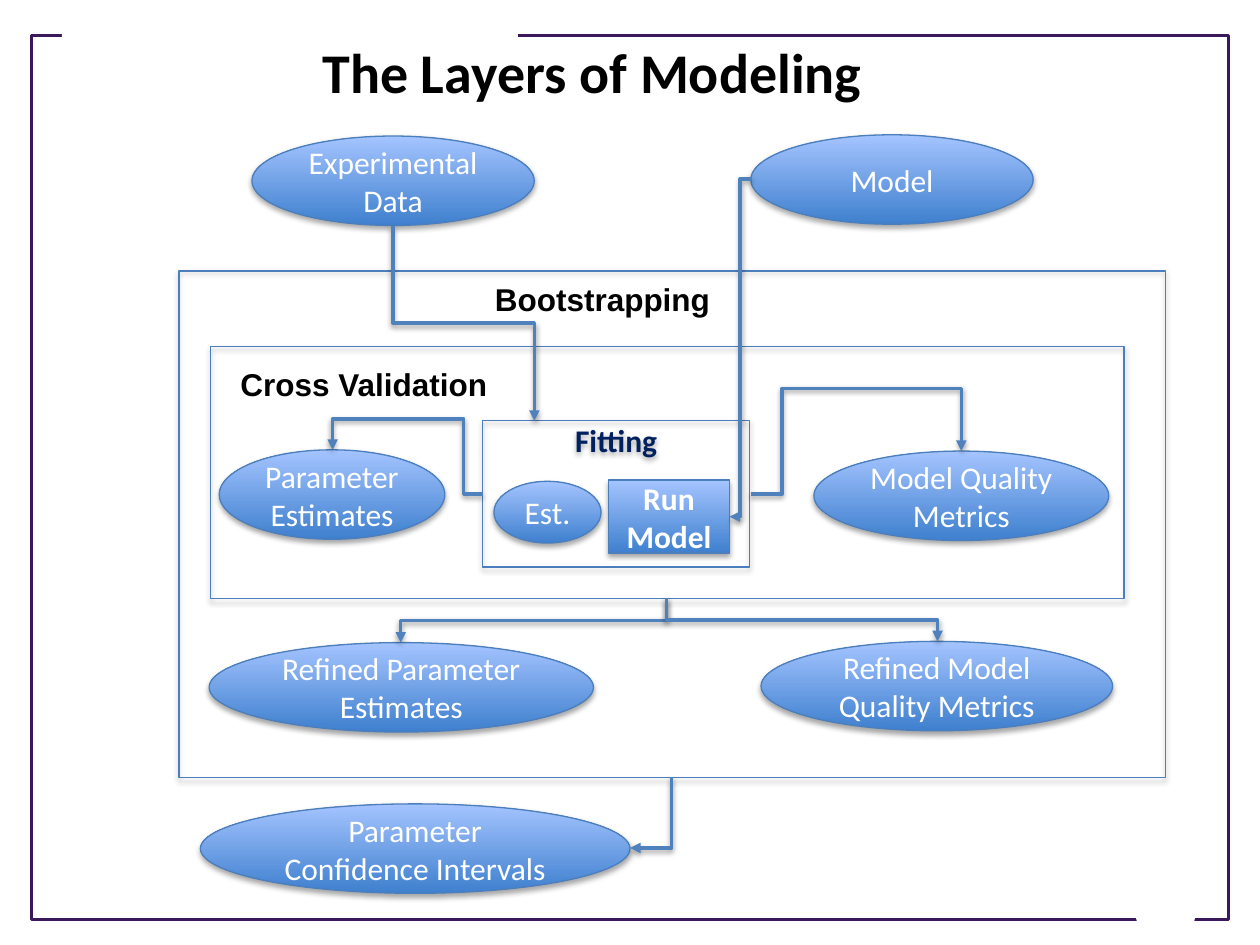
from lxml import etree
from pptx import Presentation
from pptx.dml.color import RGBColor
from pptx.enum.shapes import MSO_CONNECTOR, MSO_SHAPE
from pptx.enum.text import MSO_ANCHOR, MSO_AUTO_SIZE, PP_ALIGN
from pptx.oxml.ns import qn
from pptx.util import Inches, Pt

OVAL, RECT, TRAPEZOID = MSO_SHAPE.OVAL, MSO_SHAPE.RECTANGLE, MSO_SHAPE.TRAPEZOID
ELBOW = MSO_CONNECTOR.ELBOW
TOP, MIDDLE = MSO_ANCHOR.TOP, MSO_ANCHOR.MIDDLE
LEFT, CENTER = PP_ALIGN.LEFT, PP_ALIGN.CENTER
FIT_SHAPE = MSO_AUTO_SIZE.SHAPE_TO_FIT_TEXT
TITLE_ONLY = 5

COLORS = {
    "frame": "3B185A", "white": "FFFFFF", "black": "000000", "navy": "002060",
    "bottom": "3F80CE", "top": "A4C4FF", "outline": "4B7EBC", "arrow": "4F81BD",
}

# Text lines, left, top, width, height
OVALS = [
    (["Experimental", "Data"], 2, 1.08, 2.24, 0.71),
    (["Model"], 5.96, 1.07, 2.24, 0.71),
    (["Refined Parameter Estimates"], 1.66, 5.1, 3.05, 0.71),
    (["Refined Model Quality Metrics"], 6.04, 5.09, 2.79, 0.71),
    (["Parameter Estimates"], 1.74, 3.57, 1.79, 0.71),
    (["Model Quality Metrics"], 6.46, 3.58, 2.34, 0.71),
    (["Parameter Confidence Intervals"], 1.59, 6.38, 3.41, 0.71),
    (["Est."], 3.92, 3.82, 0.85, 0.49),
]
BOOTSTRAP_BOX = (1.42, 2.15, 7.83, 4.02)
VALIDATION_BOX = (1.67, 2.75, 7.25, 2)
FITTING_BOX = (3.83, 3.34, 2.12, 1.16)

# Start, end, number of segments, whether it leaves downward, bend positions
ARROWS = [
    ((5.96, 1.42), (5.79, 4.1), 3, False, [0.5]),
    ((3.83, 3.92), (2.64, 3.57), 4, False, [0.126, 1.704]),
    ((5.96, 3.92), (7.63, 3.58), 4, False, [0.149, 2.46]),
    ((5.29, 4.75), (3.18, 5.1), 3, True, [0.5]),
    ((5.29, 4.75), (7.44, 5.09), 3, True, [0.5]),
    ((5.33, 6.17), (5, 6.73), 2, True, []),
    ((3.12, 1.79), (4.24, 3.34), 3, True, [0.5]),
]


def color(name):
    return RGBColor.from_string(COLORS[name])


def add_shadow(shape, distance, opacity):
    effects = etree.SubElement(shape.element.spPr, qn("a:effectLst"))
    shadow = etree.SubElement(effects, qn("a:outerShdw"), blurRad="40000",
                              dist=str(distance), dir="5400000", rotWithShape="0")
    black = etree.SubElement(shadow, qn("a:srgbClr"), val=COLORS["black"])
    etree.SubElement(black, qn("a:alpha"), val=str(opacity * 1000))


def write_text(shape, lines, ink, size=18, font="Calibri", bold=False,
               align=CENTER, anchor=MIDDLE):
    frame = shape.text_frame
    frame.word_wrap = True
    frame.vertical_anchor = anchor
    for index, line in enumerate(lines):
        para = frame.add_paragraph() if index else frame.paragraphs[0]
        para.alignment = align
        span = para.add_run()
        span.text = line
        span.font.name = font
        span.font.size = Pt(size)
        span.font.bold = bold
        span.font.color.rgb = color(ink)


def add_plain(page, kind, bounds, fill=None, line=None, width=0.75):
    shape = page.shapes.add_shape(kind, *map(Inches, bounds))
    if fill:
        shape.fill.solid()
        shape.fill.fore_color.rgb = color(fill)
    else:
        shape.fill.background()
    if line:
        shape.line.color.rgb = color(line)
        shape.line.width = Pt(width)
    else:
        shape.line.fill.background()
    shape.shadow.inherit = False
    return shape


def add_frame(page):
    """Purple border with a gap at the top left and one at the bottom right."""
    add_plain(page, RECT, (0.25, 0.28, 9.5, 7.02), line="frame", width=1.75)
    add_plain(page, RECT, (0.49, 0.17, 3.62, 0.24), fill="white")
    add_plain(page, TRAPEZOID, (8.93, 6.94, 0.64, 0.43), fill="white").rotation = 180


def add_title(page, text):
    title = page.shapes.title
    title.left, title.top = Inches(1.65), Inches(0.25)
    title.width, title.height = Inches(6.1), Inches(1.09)
    write_text(title, [text], "black", size=32, bold=True, anchor=TOP)
    title.element.getparent().append(title.element)  # in front of the frame


def add_node(page, kind, bounds, lines, bold=False):
    node = page.shapes.add_shape(kind, *map(Inches, bounds))
    node.fill.gradient()
    node.fill.gradient_angle = 90
    for stop, name in zip(node.fill.gradient_stops, ("bottom", "top")):
        stop.color.rgb = color(name)
    node.line.color.rgb = color("outline")
    node.line.width = Pt(0.75)
    add_shadow(node, 23000, 35)
    write_text(node, lines, "white", bold=bold)


def add_layer(page, bounds):
    layer = page.shapes.add_shape(RECT, *map(Inches, bounds))
    layer.fill.background()
    layer.line.color.rgb = color("outline")
    layer.line.width = Pt(0.75)
    add_shadow(layer, 23000, 35)
    return layer


def add_label(page, text, bounds):
    box = page.shapes.add_textbox(*map(Inches, bounds))
    write_text(box, [text], "black", font="Arial", bold=True, align=LEFT, anchor=TOP)
    box.text_frame.word_wrap = False
    box.text_frame.auto_size = FIT_SHAPE


def add_arrow(page, start, end, segments, downward, bends):
    """Bent arrow; one that leaves downward is a sideways one turned a quarter."""
    (x1, y1), (x2, y2) = start, end
    width, height = abs(x2 - x1), abs(y2 - y1)
    if downward:
        width, height = height, width
        turn, flip = (90, None) if x2 < x1 else (270, "flipH")
    else:
        turn = 180 if x2 < x1 else 0
        flip = "flipV" if (x2 < x1) == (y2 > y1) else None
    left, top = (x1 + x2 - width) / 2, (y1 + y2 - height) / 2
    arrow = page.shapes.add_connector(
        ELBOW, *map(Inches, (left, top, left + width, top + height)))
    properties = arrow.element.spPr
    transform = properties.find(qn("a:xfrm"))
    transform.set("rot", str(turn * 60000))
    if flip:
        transform.set(flip, "1")
    geometry = properties.find(qn("a:prstGeom"))
    geometry.set("prst", f"bentConnector{segments}")
    guides = geometry.find(qn("a:avLst"))
    if guides is None:
        guides = etree.SubElement(geometry, qn("a:avLst"))
    for number, bend in enumerate(bends, 1):
        etree.SubElement(guides, qn("a:gd"), name=f"adj{number}",
                         fmla=f"val {round(bend * 100000)}")
    arrow.line.color.rgb = color("arrow")
    arrow.line.width = Pt(2)
    etree.SubElement(properties.find(qn("a:ln")), qn("a:tailEnd"), type="triangle")
    add_shadow(arrow, 20000, 38)


def main():
    deck = Presentation()
    deck.slide_width, deck.slide_height = Inches(10), Inches(7.5)
    page = deck.slides.add_slide(deck.slide_layouts[TITLE_ONLY])
    add_frame(page)
    add_title(page, "The Layers of Modeling")

    add_layer(page, BOOTSTRAP_BOX)
    add_layer(page, VALIDATION_BOX)
    fitting = add_layer(page, FITTING_BOX)
    write_text(fitting, ["Fitting"], "navy", bold=True, anchor=TOP)
    fitting.text_frame.margin_top = 0
    add_label(page, "Bootstrapping", (3.83, 2.17, 1.93, 0.4))
    add_label(page, "Cross Validation", (1.81, 2.85, 2.18, 0.4))

    for lines, *bounds in OVALS:
        add_node(page, OVAL, bounds, lines)
    add_node(page, RECT, (4.83, 3.81, 0.96, 0.58), ["Run", "Model"], bold=True)
    for arrow in ARROWS:
        add_arrow(page, *arrow)
    deck.save("out.pptx")


if __name__ == "__main__":
    main()
